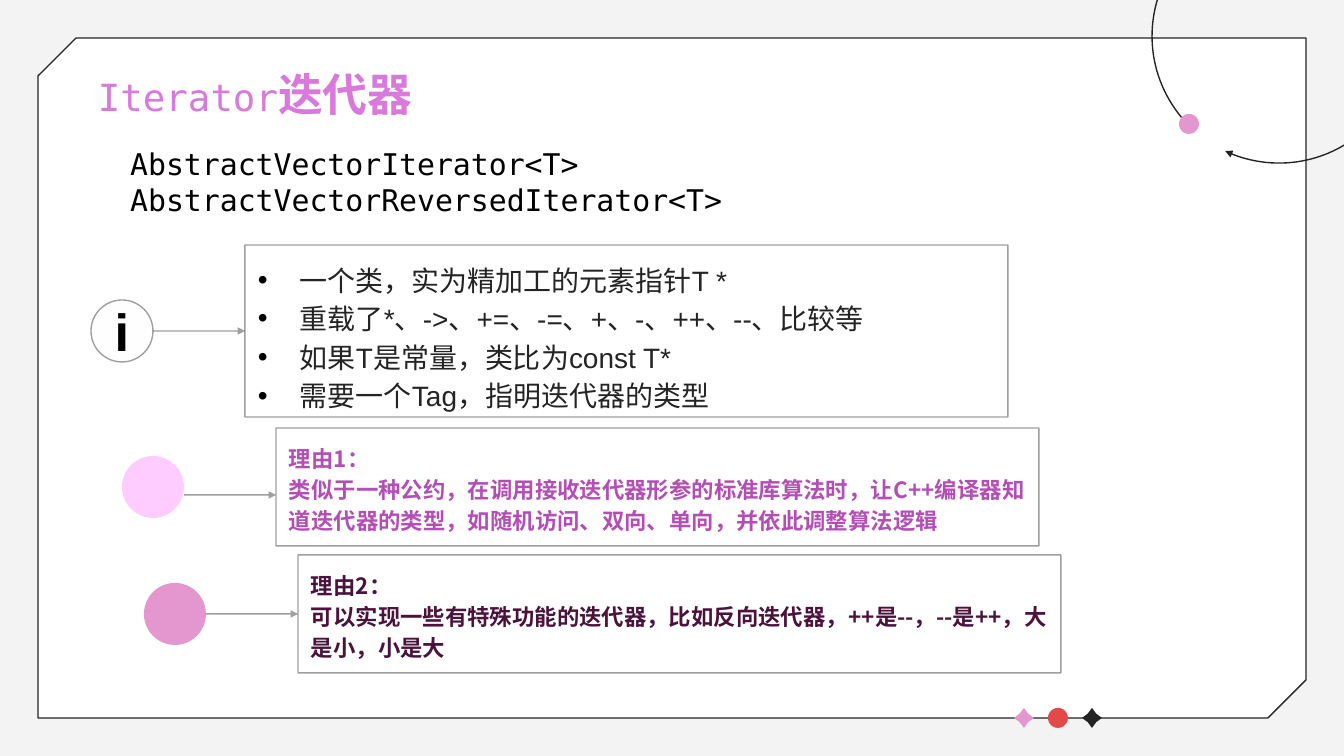
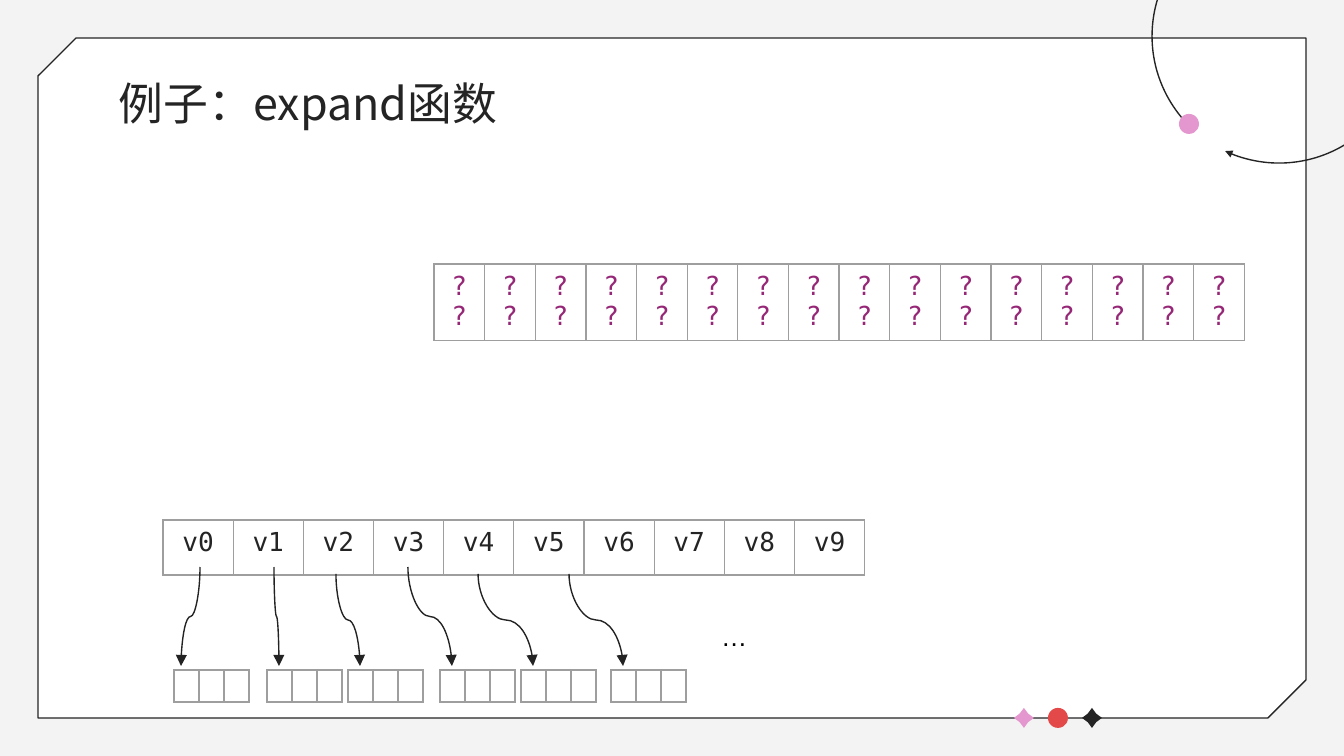
from lxml import etree
from pptx import Presentation
from pptx import util as u
from pptx.dml.color import RGBColor
from pptx.enum import shapes, text
from pptx.oxml.ns import qn

SCALE = 914400 / 134.4
MONO, SANS, CJK = "DejaVu Sans Mono", "Arial", "Noto Sans CJK SC"
SHAPE = shapes.MSO_SHAPE
C = {
    "bg": "F3F3F3", "panel": "FFFFFF", "ink": "242424", "black": "000000",
    "pink": "E496CE", "red": "E44949", "title": "D979DB", "outline": "404040",
    "badge": "FEFEFE", "pale": "FFCCFF", "violet": "B44EB6", "plum": "4B133B",
    "unknown": "962777", "grid": "9E9E9E", "curve": "232323",
}


def px(n):
    return u.Emu(round(n * SCALE))


def rgb(name):
    return RGBColor.from_string(C[name])


def sub(parent, tag, **attrs):
    return etree.SubElement(parent, qn(tag), attrs)


def set_fill(fill, color, alpha=None):
    if color is None:
        fill.background()
        return
    fill.solid()
    fill.fore_color.rgb = rgb(color)
    if alpha:
        solid = fill._xPr.find(qn("a:solidFill"))
        sub(solid[0], "a:alpha", val=str(alpha * 1000))


def set_line(sp, color, alpha=None, head=None):
    """Style a line; head is the arrowhead size, sm or med."""
    if color is None:
        sp.line.fill.background()
        return
    sp.line.width = u.Pt(0.75)
    set_fill(sp.line.fill, color, alpha)
    if head:
        sub(sp.line._get_or_add_ln(), "a:tailEnd", type="triangle",
            w=head, len=head)


def add_shape(s, kind, box, fill=None, line=None, fill_alpha=None,
              line_alpha=None, adj=(), head=None):
    sp = s.shapes.add_shape(kind, *map(px, box))
    sp.shadow.inherit = False
    for i, value in enumerate(adj):
        sp.adjustments[i] = value
    set_fill(sp.fill, fill, fill_alpha)
    set_line(sp, line, line_alpha, head)
    return sp


def add_arrow(s, kind, ends, color, alpha=None, head="med"):
    cn = s.shapes.add_connector(kind, *map(px, ends))
    set_line(cn, color, alpha, head)
    sub(cn._element.spPr, "a:effectLst")
    return cn


def add_run(p, words, size, font, color, bold=False):
    r = p.add_run()
    r.text = words
    r.font.size = u.Pt(size)
    r.font.bold = bold
    r.font.color.rgb = rgb(color)
    r.font.name = font
    sub(r._r.get_or_add_rPr(), "a:ea", typeface=font)
    return r


def paragraphs(tf, lines, style, spacing=None, bullet=False):
    for i, words in enumerate(lines):
        p = tf.add_paragraph() if i else tf.paragraphs[0]
        p.alignment = text.PP_ALIGN.LEFT
        if spacing:
            p.line_spacing = spacing
        if bullet:
            pPr = p._p.get_or_add_pPr()
            pPr.set("marL", str(px(42)))
            pPr.set("indent", str(-px(42)))
            sub(sub(pPr, "a:buClr"), "a:srgbClr", val=C["black"])
            sub(pPr, "a:buFont", typeface=SANS)
            sub(pPr, "a:buChar", char="•")
        add_run(p, words, *style)


def set_insets(tf, inset=13):
    tf.margin_left = tf.margin_right = px(inset)
    tf.margin_top = tf.margin_bottom = px(inset)


def add_text(s, box, lines, style):
    tf = s.shapes.add_textbox(*map(px, box)).text_frame
    tf.word_wrap = True
    tf.auto_size = text.MSO_AUTO_SIZE.SHAPE_TO_FIT_TEXT
    paragraphs(tf, lines, style)


def add_title(s, left, top, runs):
    tf = s.shapes.add_textbox(px(left), px(top), px(1133), px(85)).text_frame
    tf.word_wrap = True
    set_insets(tf)
    for run in runs:
        add_run(tf.paragraphs[0], *run)


def framed_slide(prs):
    """Add a slide with the shared panel and ornaments."""
    s = prs.slides.add_slide(prs.slide_layouts[6])
    set_fill(s.background.fill, "bg")
    add_shape(s, SHAPE.SNIP_2_DIAG_RECTANGLE, (38, 38, 1268, 680), "panel",
              "ink", adj=(0.056, 0))
    ornaments = ((SHAPE.STAR_4_POINT, "pink"), (SHAPE.OVAL, "red"),
                 (SHAPE.STAR_4_POINT, "ink"))
    for i, (kind, color) in enumerate(ornaments):
        adj = (0.303,) if kind == SHAPE.STAR_4_POINT else ()
        add_shape(s, kind, (1014 + 34 * i, 708, 20, 20), color, adj=adj)
    orbit = add_shape(s, SHAPE.ARC, (1152, -91, 254, 254), line="ink",
                      adj=(162, 150.075), head="sm")
    orbit.rotation = 225
    add_shape(s, SHAPE.OVAL, (1179, 114, 20, 20), "pink")
    return s


def card(s, left, top, height, lines, style, bullet=False, arrow_dy=0, **dot):
    """Outlined text box with a circle and an arrow leading into it."""
    box = add_shape(s, SHAPE.RECTANGLE, (left, top, 763, height),
                    line="outline", line_alpha=50)
    tf = box.text_frame
    tf.word_wrap = True
    tf.vertical_anchor = text.MSO_ANCHOR.TOP
    set_insets(tf)
    paragraphs(tf, lines, style, 1.15, bullet)
    middle = top + height // 2
    circle = add_shape(s, SHAPE.OVAL, (left - 154, middle - 31, 62, 62), **dot)
    y = middle + arrow_dy
    add_arrow(s, shapes.MSO_CONNECTOR.STRAIGHT, (left - 92, y, left, y),
              "outline", 50, "sm")
    return circle


def info_mark(circle):
    tf = circle.text_frame
    tf.vertical_anchor = text.MSO_ANCHOR.MIDDLE
    set_insets(tf)
    p = tf.paragraphs[0]
    p.alignment = text.PP_ALIGN.CENTER
    r = add_run(p, "i", 28, SANS, "black", True)
    ln = etree.Element(qn("a:ln"), w=str(u.Pt(0.75)))
    sub(sub(ln, "a:solidFill"), "a:srgbClr", val=C["black"])
    r._r.get_or_add_rPr().insert(0, ln)


def cell_row(s, box, labels, color="ink"):
    """One-row bordered table with equal columns."""
    left, top, width, height = map(px, box)
    tbl = s.shapes.add_table(1, len(labels), left, top, width, height).table
    tbl.first_row = tbl.horz_banding = False
    for col, cell, label in zip(tbl.columns, tbl.rows[0].cells, labels):
        col.width = width // len(labels)
        tcPr = cell._tc.get_or_add_tcPr()
        for side in "LRTB":
            ln = sub(tcPr, f"a:ln{side}", w=str(u.Pt(0.75)))
            sub(sub(ln, "a:solidFill"), "a:srgbClr", val=C["grid"])
        cell.fill.background()
        p = cell.text_frame.paragraphs[0]
        if label:
            p.alignment = text.PP_ALIGN.CENTER
            add_run(p, label, 14, MONO, color)
        else:
            cell.margin_left = cell.margin_right = px(4)
            sub(p._p, "a:endParaRPr", sz="800")


def drop_curve(s, x1, y1, x2, y2):
    """S-curve that leaves and arrives vertically: a turned curved connector."""
    cx, cy = (x1 + x2) / 2, (y1 + y2) / 2
    half_w, half_h = (y2 - y1) / 2, abs(x2 - x1) / 2
    rightward = x2 > x1
    if rightward:
        half_w = -half_w
    cn = add_arrow(s, shapes.MSO_CONNECTOR.CURVE,
                   (cx - half_w, cy - half_h, cx + half_w, cy + half_h), "curve")
    cn._element.spPr.xfrm.set("rot", str((270 if rightward else 90) * 60000))


def iterator_slide(prs):
    s = framed_slide(prs)
    add_title(s, 85, 54, [("Iterator", 20, MONO, "title"),
                          ("迭代器", 24, CJK, "title", True)])
    add_text(s, (117, 139, 956, 86),
             ["AbstractVectorIterator<T>", "AbstractVectorReversedIterator<T>"],
             (16, MONO, "black"))
    circle = card(s, 245, 245, 172, [
        "一个类，实为精加工的元素指针T *",
        "重载了*、->、+=、-=、+、-、++、--、比较等",
        "如果T是常量，类比为const T*",
        "需要一个Tag，指明迭代器的类型",
    ], (15, SANS, "ink"), bullet=True, fill="badge", fill_alpha=50,
        line="outline", line_alpha=50)
    info_mark(circle)
    card(s, 276, 428, 118, [
        "理由1：",
        "类似于一种公约，在调用接收迭代器形参的标准库算法时，让C++编译器"
        "知道迭代器的类型，如随机访问、双向、单向，并依此调整算法逻辑",
    ], (12, CJK, "violet", True), arrow_dy=8, fill="pale")
    card(s, 298, 555, 118, [
        "理由2：",
        "可以实现一些有特殊功能的迭代器，比如反向迭代器，++是--，--是++，"
        "大是小，小是大",
    ], (12, CJK, "plum", True), fill="pink")


def expand_slide(prs):
    s = framed_slide(prs)
    add_title(s, 106, 63, [("例子：expand函数", 24, CJK, "ink")])
    cell_row(s, (163, 520, 702, 55), [f"v{i}" for i in range(10)])
    cell_row(s, (434, 264, 811, 55), ["??"] * 16, "unknown")
    # start x, start y, end x, left edge of the target cells
    links = ((200, 567, 181, 174), (274, 567, 279, 267), (336, 574, 360, 348),
             (408, 567, 452, 440), (478, 574, 533, 521), (569, 574, 623, 611))
    for x1, y1, x2, left in links:
        drop_curve(s, x1, y1, x2, 666)
        cell_row(s, (left, 670, 75, 32), [""] * 3)
    add_text(s, (708, 614, 98, 46), ["…"], (14, SANS, "black"))


def main():
    prs = Presentation()
    prs.slide_width, prs.slide_height = px(1344), px(756)
    iterator_slide(prs)
    expand_slide(prs)
    prs.save("out.pptx")


if __name__ == "__main__":
    main()
